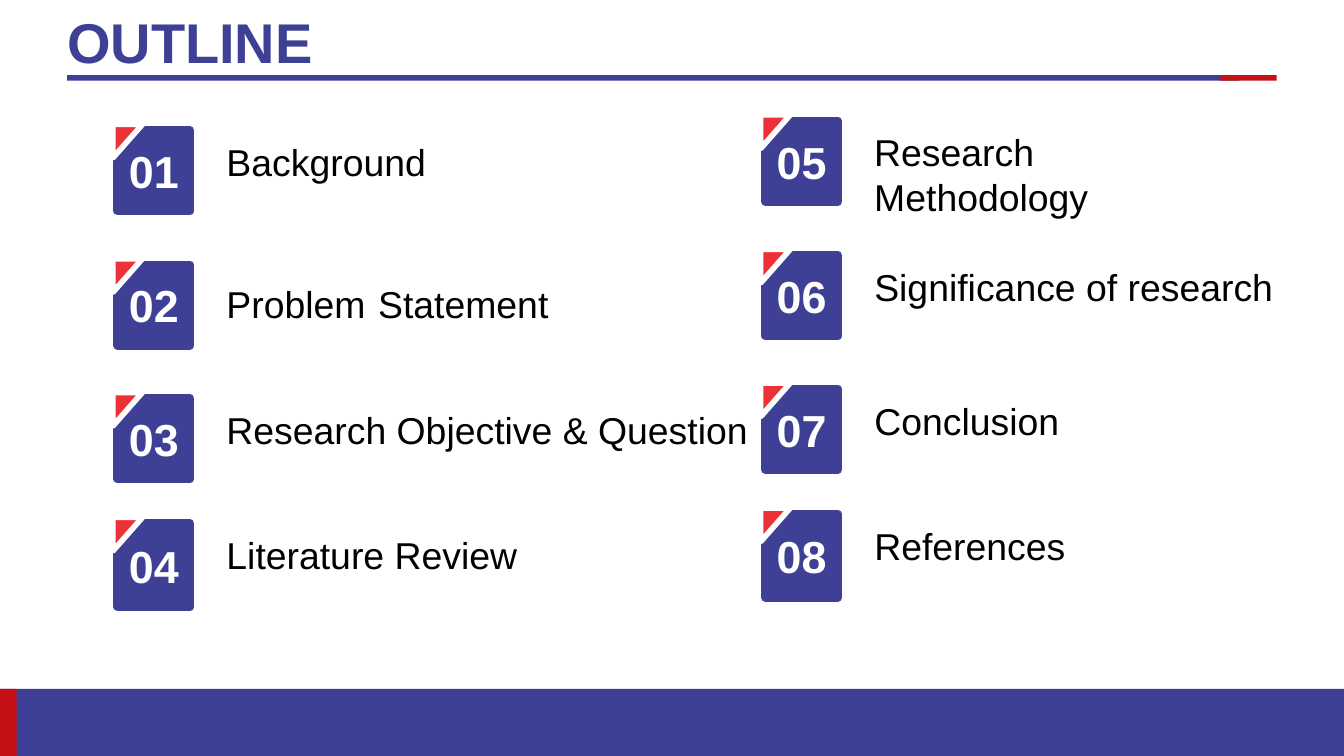
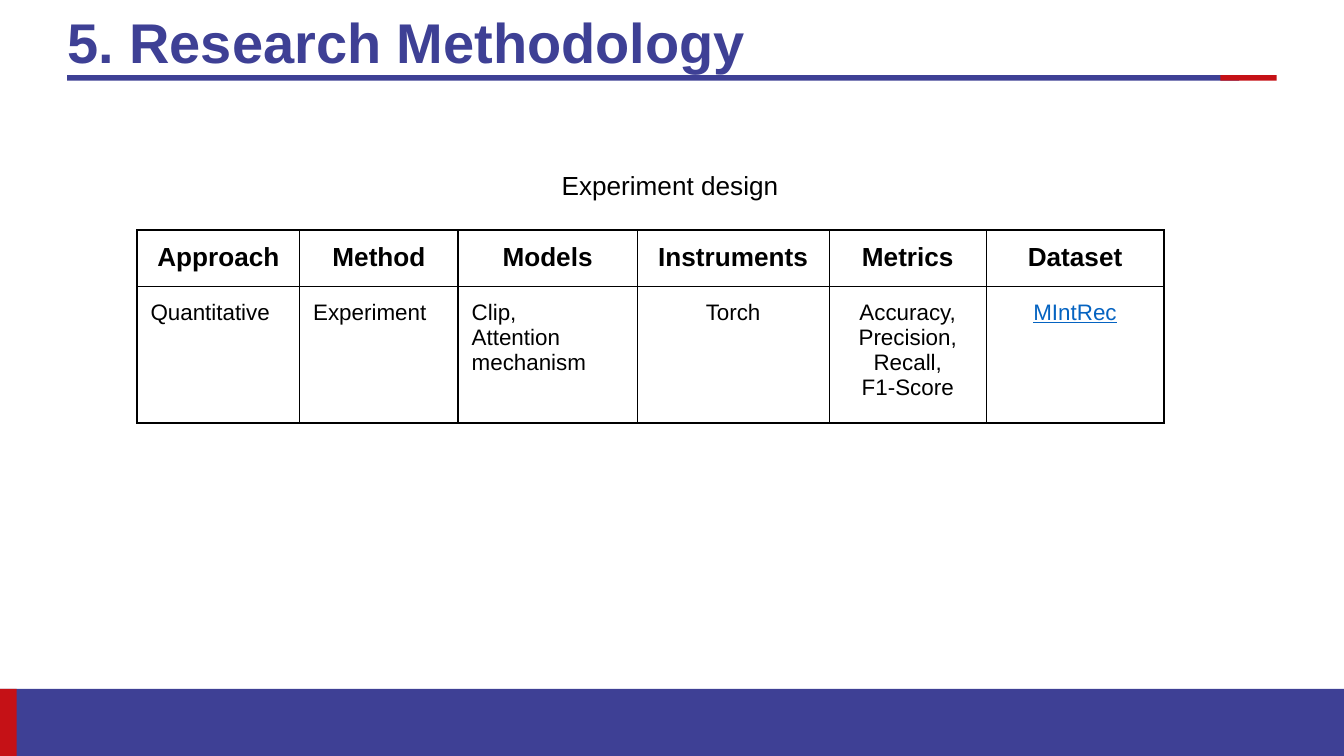
from dataclasses import dataclass

from lxml import etree
from pptx import Presentation
from pptx.dml.color import RGBColor
from pptx.enum.shapes import MSO_SHAPE
from pptx.enum.text import MSO_ANCHOR, MSO_AUTO_SIZE, PP_ALIGN
from pptx.oxml.ns import qn
from pptx.util import Inches, Pt

RECTANGLE, TRIANGLE = MSO_SHAPE.RECTANGLE, MSO_SHAPE.RIGHT_TRIANGLE
MIDDLE, TOP = MSO_ANCHOR.MIDDLE, MSO_ANCHOR.TOP
LEFT, CENTER = PP_ALIGN.LEFT, PP_ALIGN.CENTER
GROW, FIXED = MSO_AUTO_SIZE.SHAPE_TO_FIT_TEXT, MSO_AUTO_SIZE.NONE

# The grid is square: ten columns and ten rows to the inch
COLUMNS, ROWS = 100, 56.25
SLIDE_WIDTH, SLIDE_HEIGHT = Inches(10), Inches(5.625)
TITLE_ONLY = 5


@dataclass(frozen=True)
class Theme:
    font: str = "Arial"
    blue: str = "3E4095"
    red: str = "C51116"
    corner: str = "ED3237"
    link: str = "0563C1"
    white: str = "FFFFFF"
    black: str = "000000"
    title: int = 30
    number: int = 24
    entry: int = 20
    heading: int = 14
    cell: int = 12


THEME = Theme()


def across(columns):
    return round(SLIDE_WIDTH * columns / COLUMNS)


def down(rows):
    return round(SLIDE_HEIGHT * rows / ROWS)


def frame(left, top, width, height):
    return across(left), down(top), across(width), down(height)


class SlideBuilder:
    """Holds the theme and the current slide."""

    def __init__(self, deck, theme):
        self.deck, self.theme = deck, theme
        self.page = None

    def new_page(self, title):
        self.page = self.deck.slides.add_slide(self.deck.slide_layouts[TITLE_ONLY])
        blue, red = self.theme.blue, self.theme.red
        # Rule under the title
        rule = self.page.shapes.add_group_shape().shapes
        self.shape(rule, RECTANGLE, (5, 5.6, 87.2, 0.4), blue)
        self.shape(rule, RECTANGLE, (90.8, 5.6, 4.2, 0.4), red)
        # Footer band
        self.shape(self.page.shapes, RECTANGLE, (0, 51.25, COLUMNS, 5), blue)
        self.shape(self.page.shapes, RECTANGLE, (0, 51.25, 1.25, 5), red)
        # Title, in front of the bands
        box = self.page.shapes.title
        box.left, box.top, box.width, box.height = frame(5, 0, 90, 6.7)
        box.element.getparent().append(box.element)
        para = self.text_frame(box, MIDDLE, FIXED).paragraphs[0]
        para.alignment, para.line_spacing = LEFT, 0.9
        self.span(para, title, self.theme.title, blue, bold=True)

    def text_frame(self, box, anchor, fit, inset=0):
        text = box.text_frame
        text.word_wrap, text.auto_size, text.vertical_anchor = True, fit, anchor
        text.margin_left = text.margin_right = across(inset)
        text.margin_top = text.margin_bottom = down(inset / 2)
        return text

    def span(self, para, words, size, color, bold=False, underline=False):
        span = para.add_run()
        span.text = words
        font = span.font
        font.name, font.size = self.theme.font, Pt(size)
        font.bold, font.underline = bold, underline
        font.color.rgb = RGBColor.from_string(color)

    def shape(self, holder, kind, place, fill, line=None, weight=0):
        shape = holder.add_shape(kind, *frame(*place))
        shape.shadow.inherit = False
        shape.fill.solid()
        shape.fill.fore_color.rgb = RGBColor.from_string(fill)
        if line:
            shape.line.color.rgb = RGBColor.from_string(line)
            shape.line.width = Pt(weight)
        else:
            shape.line.fill.background()
        return shape

    def label(self, holder, place, spans, inset=0):
        box = holder.add_textbox(*frame(*place))
        para = self.text_frame(box, TOP, GROW, inset).paragraphs[0]
        for words, size in spans:
            self.span(para, words, size, self.theme.black)

    def entry(self, number, left, top, height, width, spans):
        """A numbered badge with a cut corner and its label."""
        theme = self.theme
        group = self.page.shapes.add_group_shape().shapes
        self.label(group, (left + 8.1, top + 0.65, width, 3.4), spans)
        badge = self.shape(group, RECTANGLE, (left, top, 5.4, height),
                           theme.blue, theme.blue, 4.5)
        para = self.text_frame(badge, MIDDLE, FIXED, 0.7).paragraphs[0]
        para.alignment = CENTER
        self.span(para, f"{number:02d}", theme.number, theme.white, bold=True)
        corner = self.shape(group, TRIANGLE, (left - 0.5, top - 0.3, 2.5, 2.2),
                            theme.corner, theme.white, 3)
        corner.rotation = 90

    def borders(self, cell, weights):
        properties = cell._tc.get_or_add_tcPr()
        for side, weight in zip("LRTB", weights):
            line = etree.SubElement(properties, qn(f"a:ln{side}"), w=str(Pt(weight)))
            fill = etree.SubElement(line, qn("a:solidFill"))
            etree.SubElement(fill, qn("a:srgbClr"), val=self.theme.black)

    def table(self, left, top, widths, heights, columns, verticals, horizontals):
        place = frame(left, top, sum(widths), sum(heights))
        table = self.page.shapes.add_table(len(heights), len(widths), *place).table
        table.first_row = table.horz_banding = False
        for row, height in zip(table.rows, heights):
            row.height = down(height)
        for index, (heading, lines, align, color) in enumerate(columns):
            table.columns[index].width = across(widths[index])
            self.cell(table.cell(0, index), [heading], CENTER,
                      self.theme.heading, self.theme.black,
                      verticals[index:index + 2] + horizontals[:2], bold=True)
            self.cell(table.cell(1, index), lines, align, self.theme.cell, color,
                      verticals[index:index + 2] + horizontals[1:])

    def cell(self, cell, lines, align, size, color, weights, bold=False):
        self.borders(cell, weights)
        cell.fill.background()
        cell.margin_left = cell.margin_right = across(1)
        cell.margin_top = cell.margin_bottom = down(1)
        for index, words in enumerate(lines):
            text = cell.text_frame
            para = text.add_paragraph() if index else text.paragraphs[0]
            para.alignment = align
            self.span(para, words, size, color, bold, color == self.theme.link)


def outline(builder):
    builder.new_page("OUTLINE")
    size, wide = builder.theme.entry, builder.theme.number
    entries = [
        ([("Background", size)], 20.5),
        ([("Problem", size), (" ", wide), ("Statement", size)], 38.7),
        ([("Research Objective & Question", size)], 39.7),
        ([("Literature Review", size)], 26.2),
        ([("Research Methodology", size)], 28),
        ([("Significance of research", size)], 31.8),
        ([("Conclusion", size)], 20.5),
        ([("References", size)], 26.2),
    ]
    # Two columns of four; the last row is closer and a little taller
    lefts, tops, heights = (8.75, 56.95), (9.7, 19.7, 29.65, 38.95), (6, 6, 6, 6.2)
    for index, (spans, width) in enumerate(entries):
        column, row = divmod(index, len(tops))
        builder.entry(index + 1, lefts[column], tops[row] - 0.7 * column,
                      heights[row], width, spans)


def methodology(builder):
    builder.new_page("5. Research Methodology")
    black, link = builder.theme.black, builder.theme.link
    columns = [
        ("Approach", ["Quantitative"], LEFT, black),
        ("Method", ["Experiment"], LEFT, black),
        ("Models", ["Clip,", "Attention mechanism"], LEFT, black),
        ("Instruments", ["Torch"], CENTER, black),
        ("Metrics", ["Accuracy,", "Precision,", "Recall,", "F1-Score"], CENTER, black),
        ("Dataset", ["MIntRec"], CENTER, link),
    ]
    builder.table(10.2, 17.1, (12.1, 11.8, 13.3, 14.3, 11.7, 13.2), (4.2, 10.2),
                  columns, verticals=(1, 1, 1, 0.5, 0.5, 0.5, 1),
                  horizontals=(1, 0.5, 1))
    builder.label(builder.page.shapes, (40.8, 12.1, 18.5, 3.4),
                  [("Experiment design", builder.theme.heading)], inset=1)


def main():
    deck = Presentation()
    deck.slide_width, deck.slide_height = SLIDE_WIDTH, SLIDE_HEIGHT
    builder = SlideBuilder(deck, THEME)
    outline(builder)
    methodology(builder)
    deck.save("out.pptx")


if __name__ == "__main__":
    main()
